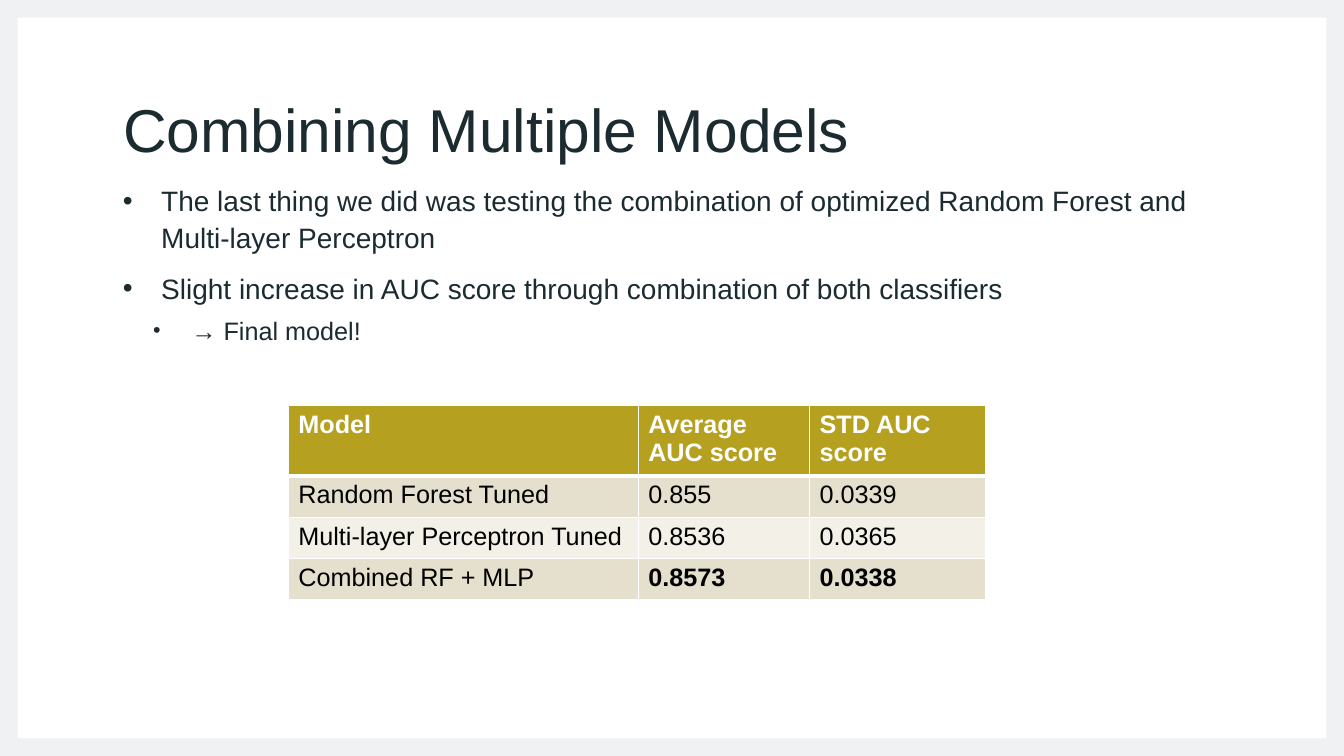
from lxml import etree
from pptx import Presentation
from pptx import util as u
from pptx.dml.color import RGBColor
from pptx.enum import shapes, text
from pptx.oxml import ns

HUES = {"frame": "F0F1F3", "ink": "1B2B30", "head": "B6A020", "odd": "E5DFCD",
        "even": "F3F0E8", "white": "FFFFFF", "black": "000000"}
LINES = [
    ("The last thing we did was testing the combination of optimized "
     "Random Forest and Multi-layer Perceptron", 0),
    ("Slight increase in AUC score through combination of both classifiers", 0),
    ("→ Final model!", 1),
]
SCORES = [
    ["Model", "Average AUC score", "STD AUC score"],
    ["Random Forest Tuned", "0.855", "0.0339"],
    ["Multi-layer Perceptron Tuned", "0.8536", "0.0365"],
    ["Combined RF + MLP", "0.8573", "0.0338"],
]


def color(name):
    return RGBColor.from_string(HUES[name])


def style(para, size, hue, bold=False):
    for run in para.runs:
        font = run.font
        font.name = "Arial"
        font.size = u.Pt(size)
        font.bold = bold
        font.color.rgb = color(hue)


def add_frame(slide, width, height):
    frame = slide.shapes.add_shape(shapes.MSO_SHAPE.FRAME, 0, 0, width, height)
    frame.adjustments[0] = 0.175 / 7.5
    frame.shadow.inherit = False
    frame.fill.solid()
    frame.fill.fore_color.rgb = color("frame")
    frame.line.fill.background()


def set_title(slide, words):
    title = slide.shapes.title
    title.left, title.top = u.Inches(1.12), u.Inches(0.79)
    title.width, title.height = u.Inches(11.08), u.Inches(0.89)
    body = title.text_frame
    body.text = words
    body.auto_size = text.MSO_AUTO_SIZE.NONE
    body.vertical_anchor = text.MSO_ANCHOR.BOTTOM
    para = body.paragraphs[0]
    para.alignment = text.PP_ALIGN.LEFT
    para.line_spacing = 1.1
    style(para, 43.2, "ink")


def set_bullet(para, level):
    props = para._p.get_or_add_pPr()
    props.set("marL", str(u.Inches(0.68 if level else 0.38)))
    props.set("indent", str(u.Inches(-0.38)))
    if level:
        etree.SubElement(props, ns.qn("a:buSzPct"), val="85000")
    etree.SubElement(props, ns.qn("a:buFont"), typeface="Arial")
    etree.SubElement(props, ns.qn("a:buChar"), char="•")


def add_list(slide):
    box = slide.shapes.add_textbox(u.Inches(1.12), u.Inches(1.74),
                                   u.Inches(11.08), u.Inches(4.97))
    body = box.text_frame
    body.word_wrap = True
    for i, (words, level) in enumerate(LINES):
        para = body.add_paragraph() if i else body.paragraphs[0]
        para.text = words
        para.level = level
        para.line_spacing = 1.1
        para.space_before = u.Pt(5 if level else 10)
        set_bullet(para, level)
        style(para, 18 if level else 20, "ink")


def set_edges(cell, row):
    props = cell._tc.get_or_add_tcPr()
    widths = {"L": 1, "R": 1, "T": 3 if row == 1 else 1, "B": 1 if row else 3}
    for i, (side, width) in enumerate(widths.items()):
        edge = etree.Element(ns.qn("a:ln" + side), w=str(u.Pt(width)))
        fill = etree.SubElement(edge, ns.qn("a:solidFill"))
        etree.SubElement(fill, ns.qn("a:srgbClr"), val=HUES["white"])
        props.insert(i, edge)


def add_scores(slide):
    table = slide.shapes.add_table(len(SCORES), 3, u.Inches(2.86), u.Inches(4.02),
                                   u.Inches(6.92), u.Inches(1.88)).table
    for col, width in zip(table.columns, (3.47, 1.7, 1.75)):
        col.width = u.Inches(width)
    for r, row in enumerate(SCORES):
        table.rows[r].height = u.Inches(0.41 if r else 0.65)
        fill = ("odd" if r % 2 else "even") if r else "head"
        for c, words in enumerate(row):
            cell = table.cell(r, c)
            cell.text_frame.text = words
            best = r == len(SCORES) - 1 and c > 0
            style(cell.text_frame.paragraphs[0], 18,
                  "black" if r else "white", r == 0 or best)
            cell.fill.solid()
            cell.fill.fore_color.rgb = color(fill)
            set_edges(cell, r)


def main():
    deck = Presentation()
    deck.slide_width, deck.slide_height = u.Inches(13.33), u.Inches(7.5)
    slide = deck.slides.add_slide(deck.slide_layouts[5])
    add_frame(slide, deck.slide_width, deck.slide_height)
    set_title(slide, "Combining Multiple Models")
    add_list(slide)
    add_scores(slide)
    deck.save("out.pptx")


if __name__ == "__main__":
    main()
